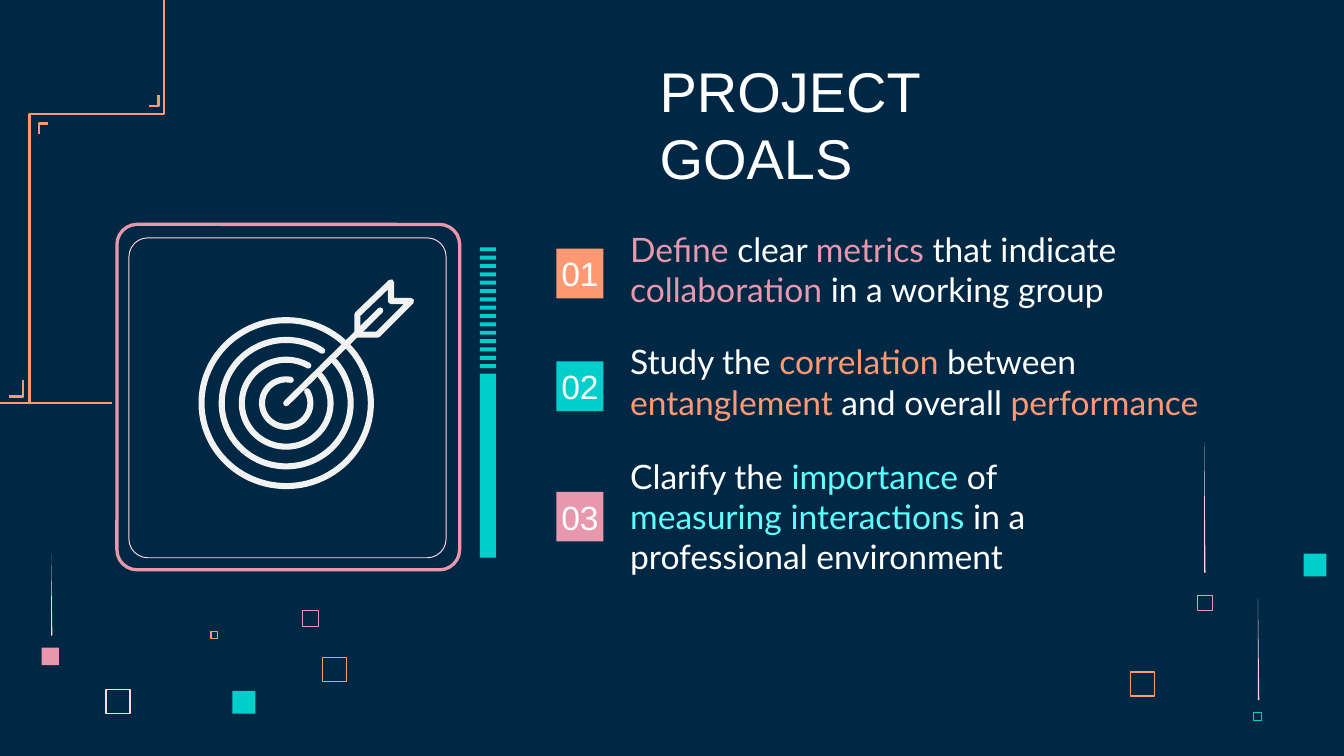
from math import cos, radians, sin

from lxml import etree
from pptx import Presentation
from pptx.dml.color import RGBColor
from pptx.enum.shapes import MSO_CONNECTOR, MSO_SHAPE
from pptx.enum.text import MSO_ANCHOR, PP_ALIGN
from pptx.oxml.ns import qn
from pptx.util import Inches, Pt

RECT = MSO_SHAPE.RECTANGLE
ROUNDED = MSO_SHAPE.ROUNDED_RECTANGLE
STRAIGHT = MSO_CONNECTOR.STRAIGHT
TOP, MIDDLE, BOTTOM = MSO_ANCHOR.TOP, MSO_ANCHOR.MIDDLE, MSO_ANCHOR.BOTTOM
CENTER = PP_ALIGN.CENTER

NAVY, WHITE, ICON = "002845", "FFFFFF", "F2F2F2"
PINK, BLUSH, ORANGE = "E898AC", "FFD6E1", "FF9973"
TEAL, AQUA = "00CFCC", "5EFFFD"

TITLE = [[("PROJECT GOALS", WHITE)]]
GOALS = [
    ("01", ORANGE, 1.85, (4.59, 1.6, 4.06, 0.77), [
        [("Define", PINK), (" clear ", WHITE), ("metrics", PINK),
         (" that indicate ", WHITE), ("collaboration", PINK),
         (" in a working group", WHITE)]]),
    ("02", TEAL, 2.69, (4.59, 2.44, 4.7, 0.77), [
        [("Study the ", WHITE), ("correlation", ORANGE), (" between ", WHITE),
         ("entanglement", ORANGE), (" and overall ", WHITE),
         ("performance", ORANGE)]]),
    ("03", PINK, 3.66, (4.59, 3.29, 3.48, 1.25), [
        [("Clarify the ", WHITE), ("importance", AQUA), (" of", WHITE)],
        [("measuring interactions ", AQUA), ("in a", WHITE)],
        [("professional environment", WHITE)]]),
]
SOLID_SQUARES = [
    (1.73, 5.14, 0.17, TEAL), (0.31, 4.82, 0.13, PINK), (9.7, 4.12, 0.17, TEAL),
]
OPEN_SQUARES = [
    (0.79, 5.13, 0.18, BLUSH, 1), (2.25, 4.54, 0.12, PINK, 0.5),
    (1.57, 4.7, 0.05, ORANGE, 0.75), (2.4, 4.89, 0.18, ORANGE, 0.75),
    (8.91, 4.43, 0.11, PINK, 0.5), (9.33, 5.3, 0.06, TEAL, 0.5),
    (8.41, 5, 0.18, ORANGE, 0.75),
]
NEEDLES = [(8.96, 3.29, 4.26), (0.38, 4.12, 4.73), (9.36, 4.45, 5.21)]
FRAMES = [
    (0.87, 1.67, 2.55, 2.57, 0.15, PINK, 1.75),
    (0.96, 1.77, 2.36, 2.38, 0.14, BLUSH, 0.5),
]
CIRCUIT = [
    [(1.22, 0), (1.22, 0.85), (0.22, 0.85), (0.22, 3)],
    [(0.17, 2.83), (0.17, 2.95), (0.07, 2.95)],
    [(0.36, 0.92), (0.29, 0.92), (0.29, 1)],
    [(1.18, 0.71), (1.18, 0.79), (1.11, 0.79)],
]
BAR_LEFT, BAR_WIDTH = 3.57, 0.12
STRIPE_COUNT, STRIPE_TOP, STRIPE_LAST, STRIPE_HEIGHT = 15, 1.84, 2.71, 0.03
TARGET_X, TARGET_Y, FLATTENING = 2.13, 3, 0.98
RINGS = [(0.63, 0, 360), (0.48, 42, -304), (0.33, 40, -300), (0.18, 30, -281)]
SHAFT = [(TARGET_X, TARGET_Y), (2.83, 2.31)]
FEATHER = [(2.66, 2.34), (2.91, 2.1), (2.91, 2.24), (3.06, 2.24),
           (2.81, 2.49), (2.66, 2.49)]


def color(value):
    return RGBColor.from_string(value)


def style(shape, fill=None, line=None, width=1):
    shape.shadow.inherit = False
    if fill:
        shape.fill.solid()
        shape.fill.fore_color.rgb = color(fill)
    else:
        shape.fill.background()
    if line:
        shape.line.color.rgb = color(line)
        shape.line.width = Pt(width)
    else:
        shape.line.fill.background()
    return shape


def add_box(page, kind, bounds, **look):
    return style(page.shapes.add_shape(kind, *map(Inches, bounds)), **look)


def add_outline(page, points, close=False, **look):
    corners = [(Inches(x), Inches(y)) for x, y in points]
    builder = page.shapes.build_freeform(*corners[0])
    builder.add_line_segments(corners[1:], close=close)
    return style(builder.convert_to_shape(), **look)


def add_stroke(page, points, close=False):
    stroke = add_outline(page, points, close, line=ICON, width=3.25)
    line = stroke.line._get_or_add_ln()
    line.set("cap", "rnd")
    etree.SubElement(line, qn("a:round"))


def add_connector(page, start, end, line, width):
    connector = page.shapes.add_connector(STRAIGHT, *map(Inches, start + end))
    connector.line.color.rgb = color(line)
    connector.line.width = Pt(width)
    etree.SubElement(connector._element.spPr, qn("a:effectLst"))


def add_text(page, bounds, paragraphs, font, size, anchor=TOP, align=None):
    box = page.shapes.add_textbox(*map(Inches, bounds))
    frame = box.text_frame
    settings = {"word_wrap": True, "vertical_anchor": anchor}
    for side in ("left", "top", "right", "bottom"):
        settings[f"margin_{side}"] = Inches(0.1)
    for name, value in settings.items():
        setattr(frame, name, value)
    for index, spans in enumerate(paragraphs):
        para = frame.add_paragraph() if index else frame.paragraphs[0]
        para.alignment = align
        for text, shade in spans:
            span = para.add_run()
            span.text = text
            for name, value in {"name": font, "size": Pt(size)}.items():
                setattr(span.font, name, value)
            span.font.color.rgb = color(shade)


def draw_decoration(page):
    for left, top, side, fill in SOLID_SQUARES:
        add_box(page, RECT, (left, top, side, side), fill=fill)
    for left, top, side, line, width in OPEN_SQUARES:
        add_box(page, RECT, (left, top, side, side), line=line, width=width)
    for x, top, bottom in NEEDLES:
        points = [(x, top), (x, bottom), (x + 0.01, bottom)]
        add_outline(page, points, close=True, fill=BLUSH)
    for points in CIRCUIT:
        add_outline(page, points, line=ORANGE, width=1.25)
    add_connector(page, (0, 3), (0.83, 3), ORANGE, 1.25)


def draw_panel(page):
    for left, top, width, height, radius, line, weight in FRAMES:
        frame = add_box(page, ROUNDED, (left, top, width, height),
                        line=line, width=weight)
        frame.adjustments[0] = radius / min(width, height)
    pitch = (STRIPE_LAST - STRIPE_TOP) / (STRIPE_COUNT - 1)
    for index in range(STRIPE_COUNT):
        top = STRIPE_TOP + index * pitch
        add_box(page, RECT, (BAR_LEFT, top, BAR_WIDTH, STRIPE_HEIGHT), fill=TEAL)
    add_box(page, RECT, (BAR_LEFT, 2.78, BAR_WIDTH, 1.37), fill=TEAL)


def draw_target(page):
    steps = 90
    for radius, start, end in RINGS:
        angles = [radians(start + (end - start) * i / steps)
                  for i in range(steps + 1)]
        add_stroke(page, [(TARGET_X + radius * cos(angle),
                           TARGET_Y - FLATTENING * radius * sin(angle))
                          for angle in angles])
    add_stroke(page, SHAFT)
    add_stroke(page, FEATHER, close=True)


def main():
    deck = Presentation()
    deck.slide_width, deck.slide_height = Inches(10), Inches(10 * 9 / 16)
    page = deck.slides.add_slide(deck.slide_layouts[6])
    page.background.fill.solid()
    page.background.fill.fore_color.rgb = color(NAVY)
    draw_decoration(page)
    draw_panel(page)
    draw_target(page)
    add_text(page, (4.81, 0.89, 2.94, 0.63), TITLE, "Arial", 30, BOTTOM)
    for number, fill, top, bounds, paragraphs in GOALS:
        add_text(page, bounds, paragraphs, "Lato", 18)
        add_box(page, RECT, (4.14, top, 0.35, 0.37), fill=fill)
        add_text(page, (4.07, top + 0.03, 0.49, 0.31), [[(number, WHITE)]],
                 "Arial", 18, MIDDLE, CENTER)
    deck.save("out.pptx")


if __name__ == "__main__":
    main()
